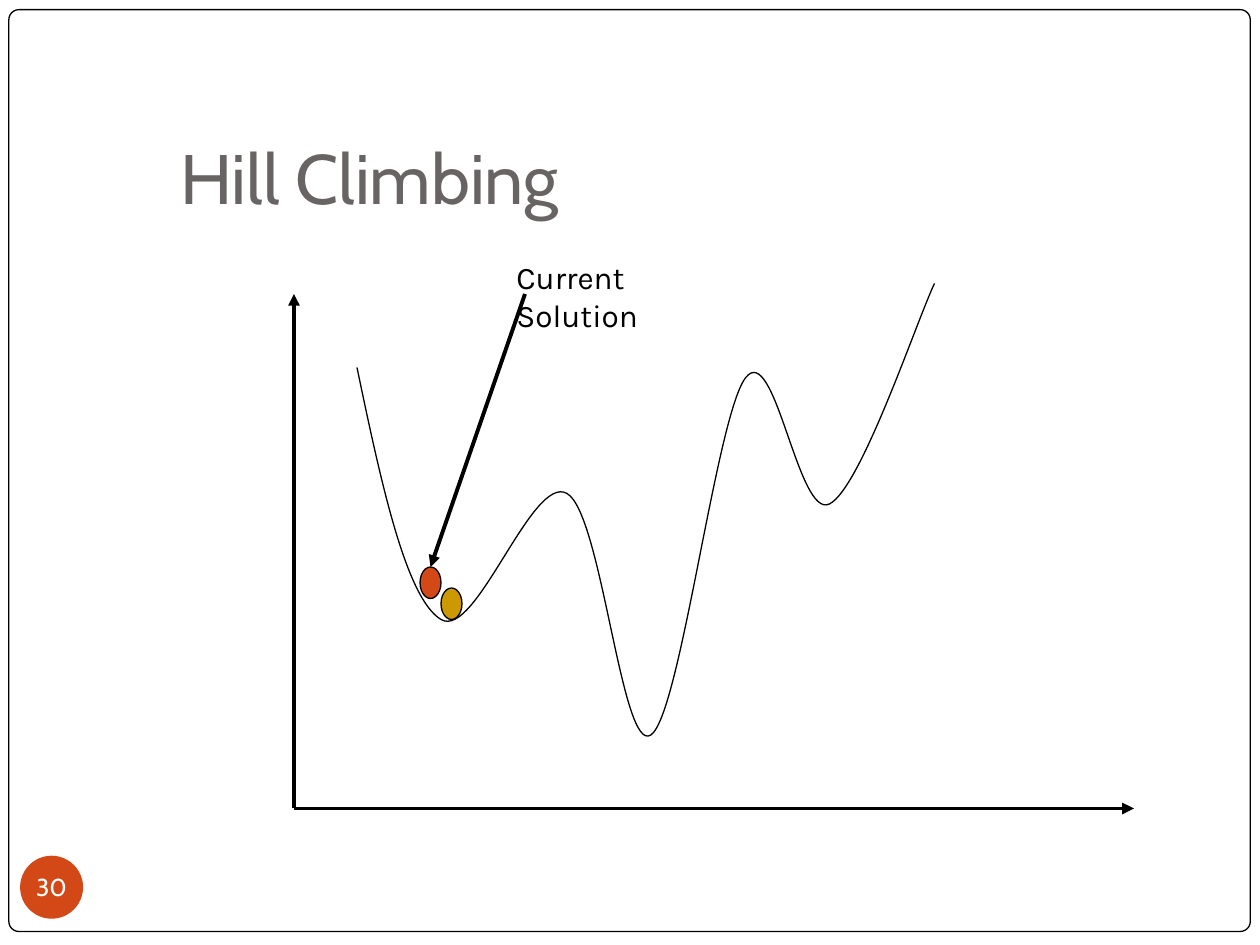
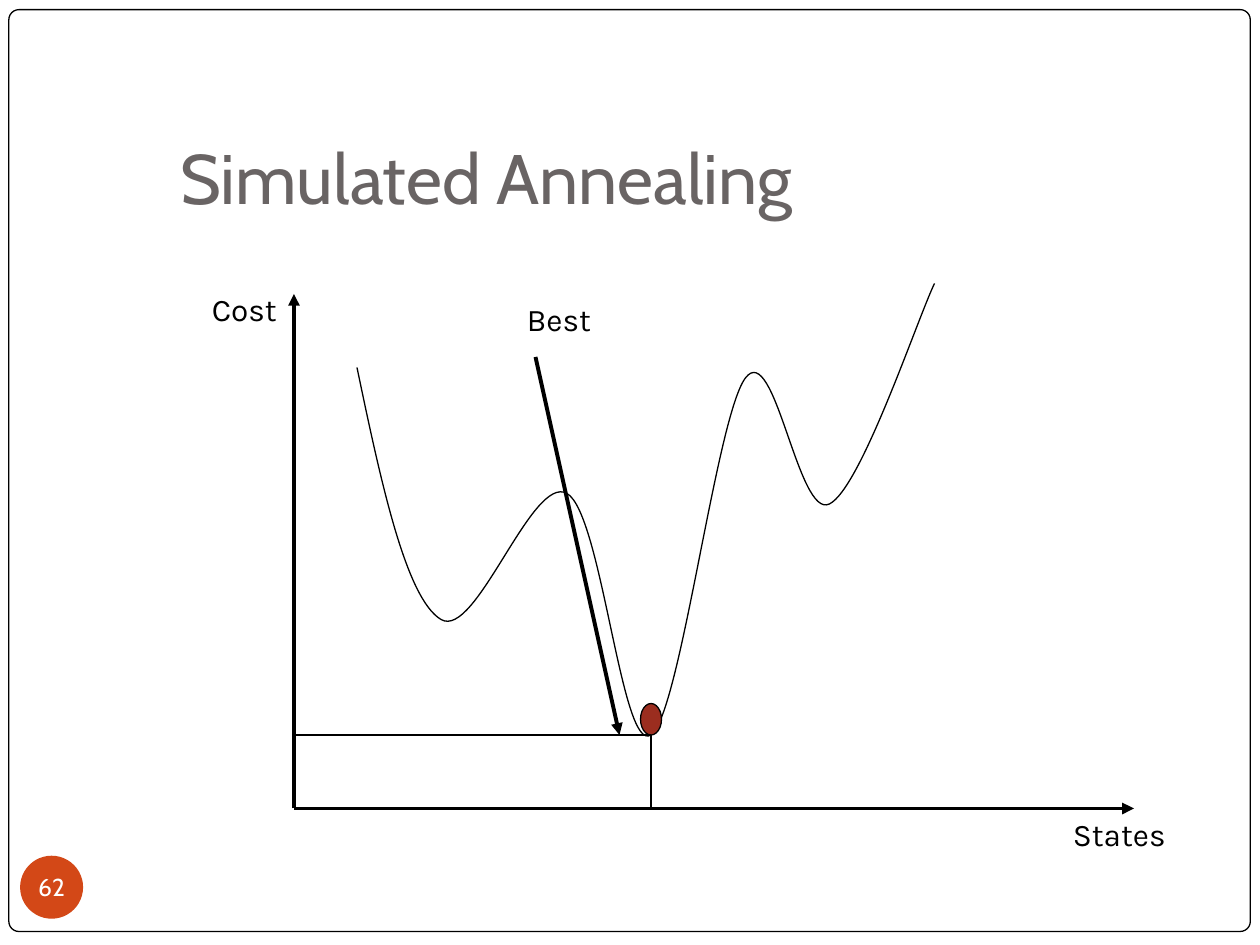
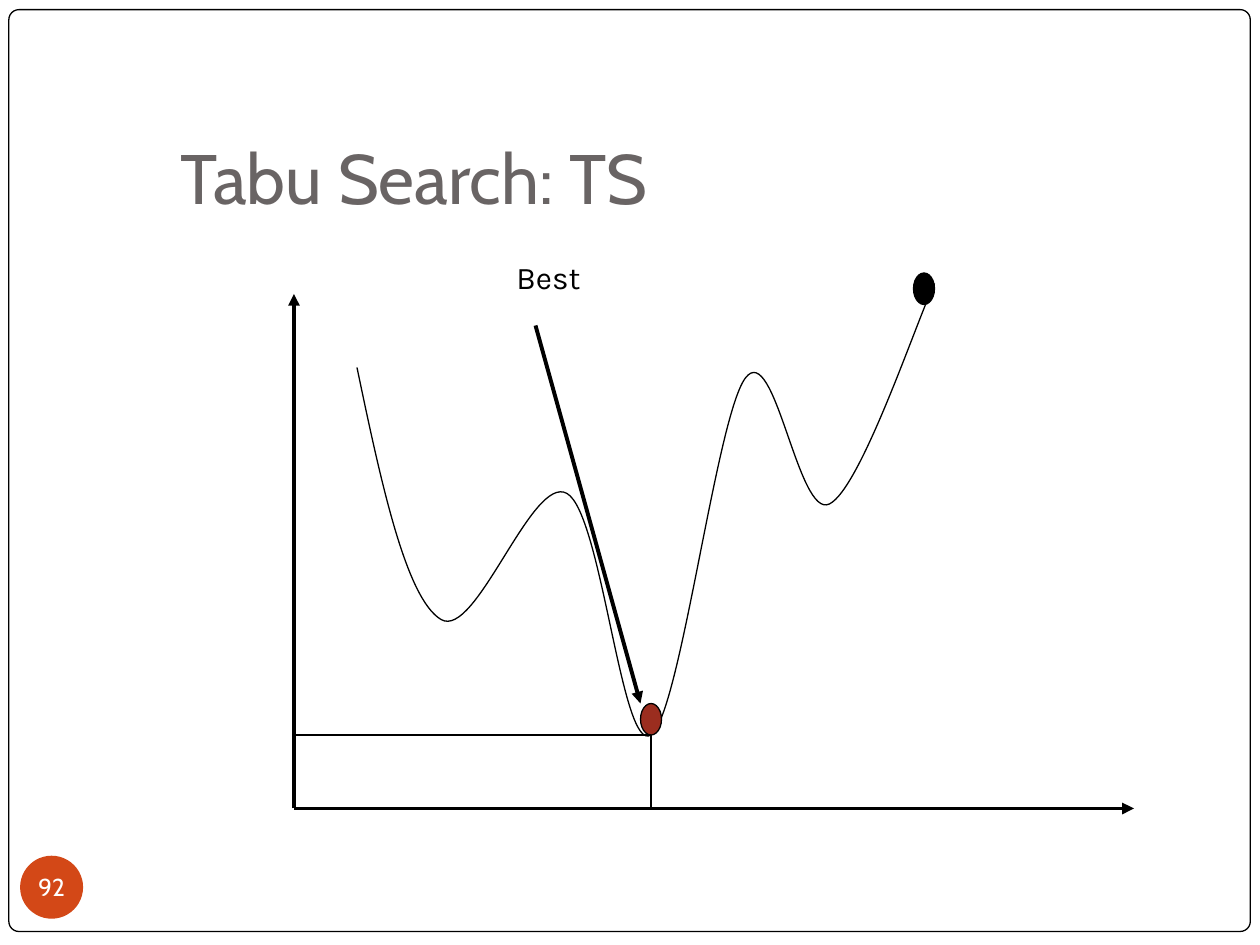
from dataclasses import dataclass, field
from itertools import chain
from typing import NamedTuple

from lxml.etree import SubElement
from pptx import Presentation
from pptx.dml.color import RGBColor as Rgb
from pptx.enum.shapes import MSO_CONNECTOR as Connector, MSO_SHAPE as Preset
from pptx.enum.text import MSO_ANCHOR as Anchor, PP_ALIGN as Align
from pptx.oxml.ns import qn
from pptx.util import Inches, Pt

SLIDE_WIDTH, SLIDE_HEIGHT = Inches(10), Inches(7.5)
COLUMNS, ROWS = 120, 90


class Point(NamedTuple):
    column: float
    row: float


class Box(NamedTuple):
    column: float
    row: float
    columns: float
    rows: float


@dataclass(frozen=True)
class TextStyle:
    font: str
    size: float
    color: str
    frame: dict = field(default_factory=dict)
    align: Align = Align.LEFT


@dataclass(frozen=True)
class Theme:
    paper: str = "FFFFFF"
    ink: str = "000000"
    orange: str = "D34817"
    gold: str = "CC9900"
    brick: str = "9B2D1F"
    thin: float = 0.75
    thick: float = 2.25
    title: TextStyle = TextStyle("Cabin", 40, "696464", {
        "vertical_anchor": Anchor.BOTTOM, "margin_bottom": Inches(0.1)})
    label: TextStyle = TextStyle("Karla", 18, "000000")
    number: TextStyle = TextStyle("Cabin", 14, "FFFFFF", {
        "vertical_anchor": Anchor.MIDDLE, "margin_left": 0, "margin_right": 0,
        "margin_top": 0, "margin_bottom": 0}, Align.CENTER)


THEME = Theme()


@dataclass(frozen=True)
class Line:
    start: Point
    end: Point
    width: float = THEME.thick
    arrow: bool = True


@dataclass(frozen=True)
class Solution:
    """A dot that stands for one solution on the cost curve."""
    corner: Point
    color: str


@dataclass(frozen=True)
class Label:
    text: str
    box: Box


@dataclass(frozen=True)
class SearchSlide:
    title: str
    number: int
    marks: tuple


FRAME = Box(0.84, 0.92, 118.24, 87.8)
TITLE = Box(16, 11.2, 102.2, 10.8)
BADGE = Box(1.92, 81.5, 6, 6)
SOLUTION_COLUMNS, SOLUTION_ROWS = 2, 3

ORIGIN = Point(28, 77)
MINIMUM = Point(62, 70)
AXES = (Line(ORIGIN, Point(ORIGIN.column, 28)), Line(ORIGIN, Point(108, ORIGIN.row)))
GUIDES = (
    Line(MINIMUM, Point(MINIMUM.column, ORIGIN.row), THEME.thin, False),
    Line(MINIMUM, Point(ORIGIN.column, MINIMUM.row), THEME.thin, False),
)
BEST = Solution(Point(61, 67), THEME.brick)

CURVE_START = Point(34, 35)
CURVE = (  # two control points and an end point for each Bezier segment
    (Point(36.3, 46), Point(38.67, 57), Point(42, 59)),
    (Point(45.33, 61), Point(50.67, 45.1), Point(54, 47)),
    (Point(57.33, 48.9), Point(59.2, 71.9), MINIMUM),
    (Point(64.8, 68.1), Point(68.2, 39.7), Point(71, 36)),
    (Point(73.8, 32.3), Point(76, 49.5), Point(79, 48)),
    (Point(82, 46.5), Point(87.33, 30.5), Point(89, 27)),
)

SLIDES = (
    SearchSlide("Hill Climbing", 30, (
        Solution(Point(42, 56), THEME.gold),
        Line(Point(50, 28), Point(41, 54)),
        Solution(Point(40, 54), THEME.orange),
        Label("Current Solution", Box(48, 24, 14, 8.4)),
    )),
    SearchSlide("Simulated Annealing", 62, (
        BEST,
        Label("Cost", Box(19, 27, 13, 4.8)),
        Label("States", Box(101, 77, 14, 4.8)),
        Line(Point(51, 34), Point(59, 70)),
        Label("Best", Box(49, 28, 10, 4.8)),
        *GUIDES,
    )),
    SearchSlide("Tabu Search: TS", 92, (
        Label("Best", Box(48, 24, 14, 4.8)),
        Line(Point(51, 31), Point(61, 67)),
        Solution(Point(87, 26), THEME.ink),
        BEST,
        *GUIDES,
    )),
)


def across(columns: float) -> int:
    return round(SLIDE_WIDTH * columns / COLUMNS)


def down(rows: float) -> int:
    return round(SLIDE_HEIGHT * rows / ROWS)


def place(box: Box) -> tuple:
    return across(box.column), down(box.row), across(box.columns), down(box.rows)


def locate(point: Point) -> tuple:
    return across(point.column), down(point.row)


def write(shape, text: str, style: TextStyle) -> None:
    frame = shape.text_frame
    for name, value in {"word_wrap": True, **style.frame}.items():
        setattr(frame, name, value)
    paragraph = frame.paragraphs[0]
    paragraph.alignment = style.align
    run = paragraph.add_run()
    run.text = text
    for name, value in {"name": style.font, "size": Pt(style.size)}.items():
        setattr(run.font, name, value)
    run.font.color.rgb = Rgb.from_string(style.color)


def outline(shape, width: float) -> None:
    shape.line.color.rgb = Rgb.from_string(THEME.ink)
    shape.line.width = Pt(width)


def draw_shape(slide, preset: Preset, box: Box, fill: str, outlined: bool = True):
    shape = slide.shapes.add_shape(preset, *place(box))
    shape.shadow.inherit = False
    shape.fill.solid()
    shape.fill.fore_color.rgb = Rgb.from_string(fill)
    if outlined:
        outline(shape, THEME.thin)
    else:
        shape.line.fill.background()
    return shape


def draw_text(slide, text: str, box: Box, style: TextStyle) -> None:
    write(slide.shapes.add_textbox(*place(box)), text, style)


def draw_line(slide, line: Line) -> None:
    connector = slide.shapes.add_connector(
        Connector.STRAIGHT, *locate(line.start), *locate(line.end))
    outline(connector, line.width)
    if line.arrow:
        SubElement(connector.line._get_or_add_ln(), qn("a:tailEnd"), type="triangle")
    SubElement(connector._element.spPr, qn("a:effectLst"))


def bend(freeform) -> None:
    """Turn each three straight steps of the outline into one Bezier segment."""
    outline_path = next(freeform._element.iter(qn("a:path")))
    steps = outline_path.findall(qn("a:lnTo"))
    for first in range(0, len(steps), 3):
        segment = SubElement(outline_path, qn("a:cubicBezTo"))
        for step in steps[first:first + 3]:
            segment.append(step[0])
            outline_path.remove(step)


def draw_curve(slide) -> None:
    builder = slide.shapes.build_freeform(*locate(CURVE_START))
    builder.add_line_segments(map(locate, chain.from_iterable(CURVE)), close=False)
    curve = builder.convert_to_shape()
    bend(curve)
    curve.shadow.inherit = False
    curve.fill.background()
    outline(curve, THEME.thin)


def draw_mark(slide, mark) -> None:
    match mark:
        case Line():
            draw_line(slide, mark)
        case Solution():
            box = Box(*mark.corner, SOLUTION_COLUMNS, SOLUTION_ROWS)
            draw_shape(slide, Preset.OVAL, box, mark.color)
        case Label():
            draw_text(slide, mark.text, mark.box, THEME.label)


def draw_base(slide, content: SearchSlide) -> None:
    """Draw what every slide shares: frame, title, number badge, axes and curve."""
    frame = draw_shape(slide, Preset.ROUNDED_RECTANGLE, FRAME, THEME.paper)
    frame.adjustments[0] = 0.011
    draw_text(slide, content.title, TITLE, THEME.title)
    badge = draw_shape(slide, Preset.OVAL, BADGE, THEME.orange, outlined=False)
    write(badge, str(content.number), THEME.number)
    for axis in AXES:
        draw_line(slide, axis)
    draw_curve(slide)


def main() -> None:
    presentation = Presentation()
    presentation.slide_width, presentation.slide_height = SLIDE_WIDTH, SLIDE_HEIGHT
    blank = presentation.slide_layouts[6]
    for content in SLIDES:
        slide = presentation.slides.add_slide(blank)
        draw_base(slide, content)
        for mark in content.marks:
            draw_mark(slide, mark)
    presentation.save("out.pptx")


if __name__ == "__main__":
    main()
